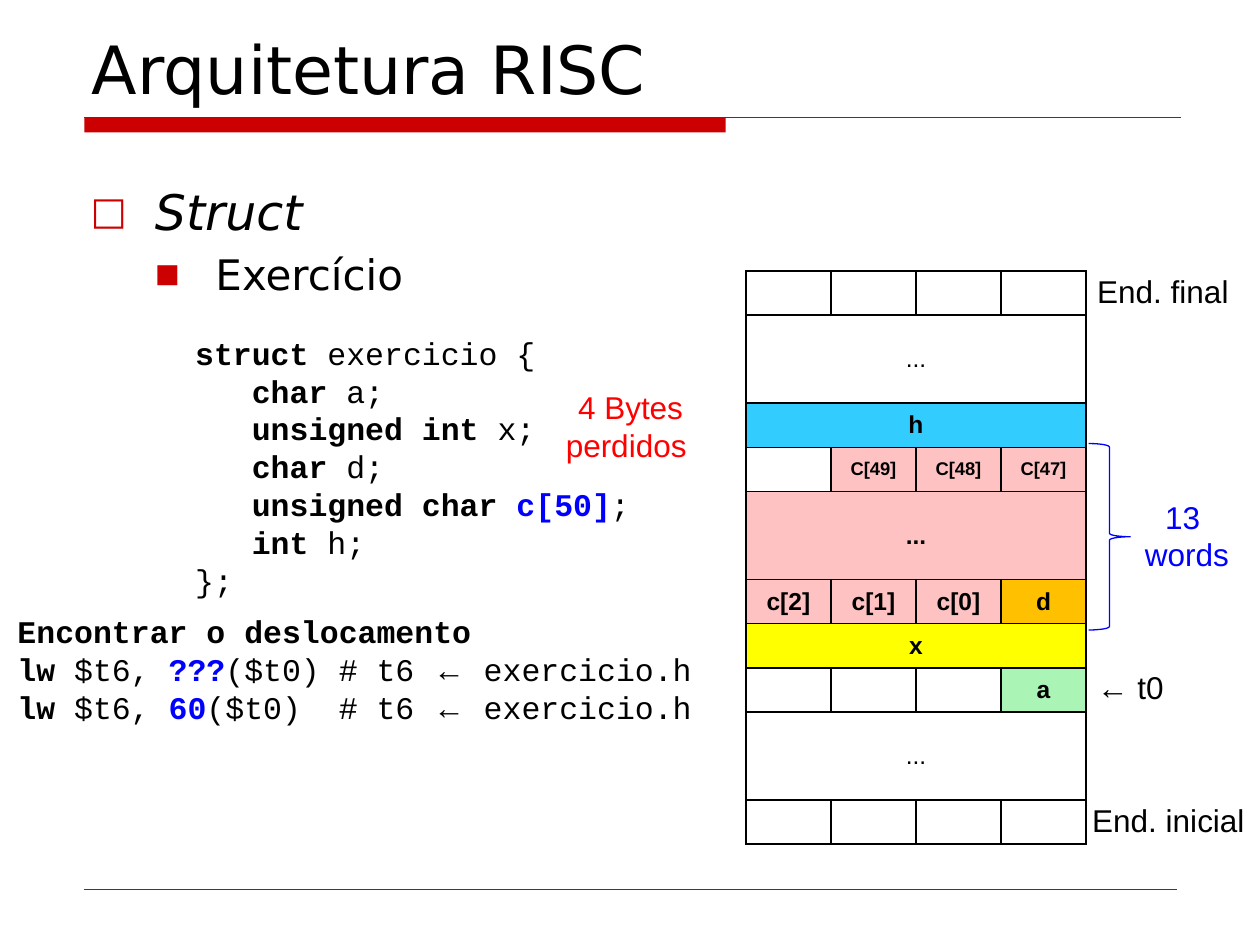
from lxml import etree
from pptx import Presentation
from pptx.dml.color import RGBColor
from pptx.enum.shapes import MSO_CONNECTOR, MSO_SHAPE
from pptx.enum.text import MSO_ANCHOR, MSO_AUTO_SIZE, PP_ALIGN
from pptx.oxml.ns import qn
from pptx.util import Inches, Pt

LEFT, CENTER = PP_ALIGN.LEFT, PP_ALIGN.CENTER
TOP, MIDDLE, BOTTOM = MSO_ANCHOR.TOP, MSO_ANCHOR.MIDDLE, MSO_ANCHOR.BOTTOM
NO_FIT, GROW = MSO_AUTO_SIZE.NONE, MSO_AUTO_SIZE.SHAPE_TO_FIT_TEXT
STRAIGHT = MSO_CONNECTOR.STRAIGHT
RECTANGLE, BRACE = MSO_SHAPE.RECTANGLE, MSO_SHAPE.RIGHT_BRACE

COLORS = {
    "black": "000000", "white": "FFFFFF", "accent": "CC0000", "blue": "0000FF",
    "red": "FF0000", "sky": "33CCFF", "pink": "FFC2C2", "orange": "FFC000",
    "yellow": "FFFF00", "green": "AAF4B6",
}
HEADING, SANS, MONO = "DejaVu Sans", "Arial", "Courier New"

BOLD = {"bold": True}
HOT = {"bold": True, "color": "blue"}
ARROW = ("←", {"font": SANS})

# Each line of code: indent in inches, then its runs
CODE_INDENT = 0.45
STRUCT_CODE = [
    (0, [("struct", BOLD), (" exercicio {", {})]),
    (CODE_INDENT, [("char", BOLD), (" a;", {})]),
    (CODE_INDENT, [("unsigned int", BOLD), (" x;", {})]),
    (CODE_INDENT, [("char", BOLD), (" d;", {})]),
    (CODE_INDENT, [("unsigned char ", BOLD), ("c[50]", HOT), (";", {})]),
    (CODE_INDENT, [("int", BOLD), (" h;", {})]),
    (0, [("};", {})]),
]


def load_line(offset, comment):
    return (0, [("lw", BOLD), (" $t6, ", {}), (offset, HOT), (comment, {}),
                ARROW, (" exercicio.h", {})])


LOAD_CODE = [
    (0, [("Encontrar o deslocamento", BOLD)]),
    load_line("???", "($t0) # t6 "),
    load_line("60", "($t0)  # t6 "),
]

# Memory words from the highest address down; a single entry spans the row
EMPTY = ("", None)
GAP = [("...", None)]
MEMORY = [
    [EMPTY] * 4,
    GAP,
    [("h", "sky")],
    [("", "white"), ("C[49]", "pink"), ("C[48]", "pink"), ("C[47]", "pink")],
    [("...", "pink")],
    [("c[2]", "pink"), ("c[1]", "pink"), ("c[0]", "pink"), ("d", "orange")],
    [("x", "yellow")],
    [EMPTY] * 3 + [("a", "green")],
    GAP,
    [EMPTY] * 4,
]


def rgb(name):
    return RGBColor.from_string(COLORS[name])


def inches(*lengths):
    return [Inches(v) for v in lengths]


class SlideBuilder:
    def __init__(self, slide):
        self.s = slide

    def run(self, p, text, size, font=SANS, color="black", bold=False, italic=False):
        r = p.add_run()
        r.text = text
        f = r.font
        f.size, f.name, f.bold, f.italic = Pt(size), font, bold, italic
        f.color.rgb = rgb(color)

    def place(self, sp, box):
        sp.left, sp.top, sp.width, sp.height = inches(*box)
        sp.text_frame.auto_size = NO_FIT
        return sp.text_frame

    def title(self, text, box):
        tf = self.place(self.s.shapes.title, box)
        tf.vertical_anchor = BOTTOM
        p = tf.paragraphs[0]
        p.alignment = LEFT
        self.run(p, text, 38, HEADING)

    def bullets(self, items, box):
        tf = self.place(self.s.placeholders[1], box)
        tf.vertical_anchor = TOP
        for level, (text, size, italic, margin, hang, char, scale) in enumerate(items):
            p = tf.add_paragraph() if level else tf.paragraphs[0]
            p.level = level
            self.indent(p, margin, -hang)
            pPr = p._p.get_or_add_pPr()
            clr = etree.SubElement(pPr, qn("a:buClr"))
            etree.SubElement(clr, qn("a:srgbClr"), val=COLORS["accent"])
            etree.SubElement(pPr, qn("a:buSzPct"), val=str(scale * 1000))
            etree.SubElement(pPr, qn("a:buFont"), typeface=HEADING)
            etree.SubElement(pPr, qn("a:buChar"), char=char)
            self.run(p, text, size, HEADING, italic=italic)

    def indent(self, p, margin, first=0):
        pPr = p._p.get_or_add_pPr()
        pPr.set("marL", str(Inches(margin)))
        pPr.set("indent", str(Inches(first)))

    def text(self, lines, box, font=SANS, color="black", align=LEFT, wrap=False):
        """Add a text box; each line is (indent, [(text, run style), ...])."""
        tf = self.s.shapes.add_textbox(*inches(*box)).text_frame
        tf.word_wrap, tf.auto_size = wrap, GROW
        for i, (margin, runs) in enumerate(lines):
            p = tf.add_paragraph() if i else tf.paragraphs[0]
            p.alignment = align
            if margin:
                self.indent(p, margin)
            for text, style in runs:
                self.run(p, text, 18, **{"font": font, "color": color, **style})

    def label(self, lines, box, **style):
        self.text([(0, [(line, {})]) for line in lines], box, **style)

    def shape(self, kind, box, fill, line=None):
        sp = self.s.shapes.add_shape(kind, *inches(*box))
        sp.shadow.inherit = False
        sp.fill.solid()
        sp.fill.fore_color.rgb = rgb(fill)
        if line:
            sp.line.color.rgb = rgb(line)
            sp.line.width = Pt(0.75)
        else:
            sp.line.fill.background()

    def rule(self, x1, x2, y, width):
        c = self.s.shapes.add_connector(STRAIGHT, *inches(x1, y, x2, y))
        c.line.color.rgb = rgb("accent")
        c.line.width = Pt(width)
        etree.SubElement(c._element.spPr, qn("a:effectLst"))

    def borders(self, cell):
        tcPr = cell._tc.get_or_add_tcPr()
        for side in ("lnL", "lnR", "lnT", "lnB"):
            ln = etree.SubElement(tcPr, qn(f"a:{side}"), w=str(Pt(1)))
            fill = etree.SubElement(ln, qn("a:solidFill"))
            etree.SubElement(fill, qn("a:srgbClr"), val=COLORS["black"])

    def memory_map(self, rows, box, unit):
        """Draw the memory words; rows of dots are two units high."""
        table = self.s.shapes.add_table(len(rows), 4, *inches(*box)).table
        table.first_row = table.horz_banding = False
        for col in table.columns:
            col.width = Inches(box[2] / 4)
        for i, row in enumerate(rows):
            table.rows[i].height = Inches(unit * (2 if row[0][0] == "..." else 1))
            for j in range(4):
                self.borders(table.cell(i, j))
            if len(row) == 1:
                table.cell(i, 0).merge(table.cell(i, 3))
            for j, (text, fill) in enumerate(row):
                self.cell(table.cell(i, j), text, fill)

    def cell(self, cell, text, fill):
        cell.margin_top = cell.margin_bottom = 0
        cell.vertical_anchor = MIDDLE
        if fill:
            cell.fill.solid()
            cell.fill.fore_color.rgb = rgb(fill)
        else:
            cell.fill.background()
        if text:
            p = cell.text_frame.paragraphs[0]
            p.alignment = CENTER
            self.run(p, text, 10.5 if len(text) > 4 else 14, bold=bool(fill))


def main():
    prs = Presentation()
    prs.slide_width, prs.slide_height = inches(10, 7.5)
    b = SlideBuilder(prs.slides.add_slide(prs.slide_layouts[1]))

    b.shape(RECTANGLE, (0.67, 0.93, 5.09, 0.12), "accent")
    b.rule(0.67, 9.37, 0.93, 0.75)
    b.rule(0.67, 9.34, 7.06, 0.25)
    b.title("Arquitetura RISC", (0.63, 0.33, 8.75, 0.58))
    b.bullets([("Struct", 28, True, 0.51, 0.51, "□", 78),
               ("Exercício", 24, False, 0.99, 0.48, "■", 62)],
              (0.62, 1.39, 9.25, 1.36))

    b.text(STRUCT_CODE, (1.45, 2.6, 3.88, 2.22), font=MONO, wrap=True)
    b.text(LOAD_CODE, (0.04, 4.81, 6.22, 1.01), font=MONO, wrap=True)

    b.memory_map(MEMORY, (5.92, 2.15, 2.7, 4.55), 0.35)
    b.label(["End. inicial"], (8.57, 6.31, 1.42, 0.4))
    b.label(["End. final"], (8.61, 2.11, 1.25, 0.4))
    b.label(["← t0"], (8.61, 5.25, 0.73, 0.4))
    b.shape(BRACE, (8.64, 3.52, 0.33, 1.48), "white", "blue")
    b.label(["13 ", "words"], (8.98, 3.9, 0.88, 0.71), color="blue", align=CENTER)
    b.label([" 4 Bytes perdidos"], (4.05, 3.03, 1.84, 0.71),
            color="red", align=CENTER, wrap=True)

    prs.save("out.pptx")


if __name__ == "__main__":
    main()
